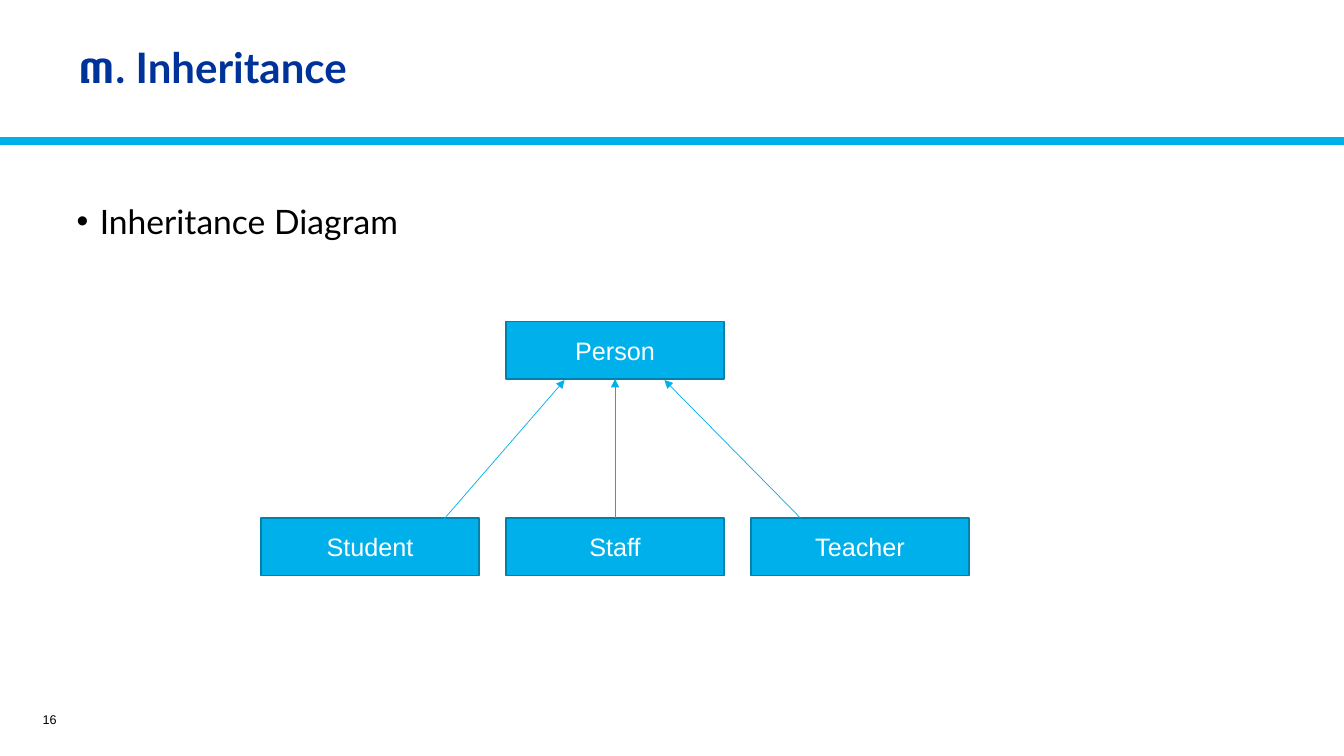
import pptx
import pptx.dml.color
import pptx.enum.shapes
import pptx.enum.text
import pptx.oxml.ns
import pptx.util
from lxml import etree

Inches, Pt = pptx.util.Inches, pptx.util.Pt
RGBColor = pptx.dml.color.RGBColor
Align, Anchor = pptx.enum.text.PP_ALIGN, pptx.enum.text.MSO_ANCHOR
qn = pptx.oxml.ns.qn

SKY = RGBColor(0x00, 0xB0, 0xEA)
TEAL = RGBColor(0x00, 0x82, 0xAD)
NAVY = RGBColor(0x00, 0x33, 0x99)
BLACK = RGBColor(0, 0, 0)
WHITE = RGBColor(255, 255, 255)


class ClassDiagramSlide:
    """Holds the text styles and the slide being built."""

    styles = {
        "title": dict(name="Lato", size=Pt(30), bold=True, color=NAVY),
        "body": dict(name="Lato", size=Pt(24), color=BLACK),
        "box": dict(name="Arial", size=Pt(18), color=WHITE),
        "number": dict(name="Arial", size=Pt(9), color=BLACK),
    }

    def __init__(self, deck):
        self.page = deck.slides.add_slide(deck.slide_layouts[1])

    def set_text(self, shape, text, style, align, anchor=Anchor.MIDDLE):
        frame = shape.text_frame
        frame.word_wrap = True
        frame.auto_size = pptx.enum.text.MSO_AUTO_SIZE.NONE
        frame.vertical_anchor = anchor
        para = frame.paragraphs[0]
        para.alignment = align
        para.space_before = Pt(0)
        span = para.add_run()
        span.text = text
        for key, value in self.styles[style].items():
            if key == "color":
                span.font.color.rgb = value
            else:
                setattr(span.font, key, value)
        return para

    def place(self, shape, left, top, width, height):
        places = dict(left=left, top=top, width=width, height=height)
        for key, value in places.items():
            setattr(shape, key, Inches(value))

    def title(self, text, *area):
        holder = self.page.shapes.title
        self.place(holder, *area)
        self.set_text(holder, text, "title", Align.LEFT).line_spacing = 0.9

    def bullet(self, text, *area):
        holder = self.page.placeholders[1]
        self.place(holder, *area)
        para = self.set_text(holder, text, "body", Align.LEFT, Anchor.TOP)
        props = para._p.get_or_add_pPr()
        props.set("marL", str(Inches(0.23)))
        props.set("indent", str(Inches(-0.23)))
        etree.SubElement(props, qn("a:buFont"), typeface="Arial")
        etree.SubElement(props, qn("a:buChar"), char="•")

    def number(self, text, *area):
        box = self.page.shapes.add_textbox(*map(Inches, area))
        self.set_text(box, text, "number", Align.RIGHT)

    def class_box(self, text, *area):
        box = self.page.shapes.add_shape(
            pptx.enum.shapes.MSO_SHAPE.RECTANGLE, *map(Inches, area))
        box.shadow.inherit = False
        box.fill.solid()
        box.fill.fore_color.rgb = SKY
        box.line.color.rgb = TEAL
        box.line.width = Pt(1)
        self.set_text(box, text, "box", Align.CENTER)
        return box

    def line(self, start, end, width, arrow=False):
        line = self.page.shapes.add_connector(
            pptx.enum.shapes.MSO_CONNECTOR.STRAIGHT, *map(Inches, start + end))
        line.line.color.rgb = SKY
        line.line.width = Pt(width)
        if arrow:
            etree.SubElement(line.line._get_or_add_ln(), qn("a:tailEnd"), type="triangle")
        etree.SubElement(line._element.spPr, qn("a:effectLst"))
        return line


def main():
    deck = pptx.Presentation()
    deck.slide_width, deck.slide_height = Inches(13.33), Inches(7.5)
    slide = ClassDiagramSlide(deck)

    # Heading, rule, list and page number
    slide.line((0, 1.4), (13.33, 1.4), 6)
    slide.title("៣. Inheritance", 0.67, 0.14, 12.02, 1.11)
    slide.number("16", 0.09, 6.99, 0.57, 0.3)
    slide.bullet("Inheritance Diagram", 0.66, 1.94, 12.05, 4.72)

    # Parent class above a row of evenly spaced subclasses
    width, height, pitch = 2.16, 0.57, 2.43
    left, parent_top, child_top = 2.59, 3.19, 5.14
    person = slide.class_box("Person", left + pitch, parent_top, width, height)
    student, staff, teacher = [
        slide.class_box(name, left + column * pitch, child_top, width, height)
        for column, name in enumerate(("Student", "Staff", "Teacher"))]

    # Arrows from each subclass to the parent
    parent_bottom = 3.77
    slide.line((4.36, 5.2), (5.6, parent_bottom), 0.5, arrow=True)
    middle = slide.line((6.1, child_top), (6.1, parent_bottom), 0.5, arrow=True)
    middle.begin_connect(staff, 0)
    middle.end_connect(person, 2)
    slide.line((7.94, child_top), (6.59, parent_bottom), 0.5, arrow=True)

    deck.save("out.pptx")


if __name__ == "__main__":
    main()
